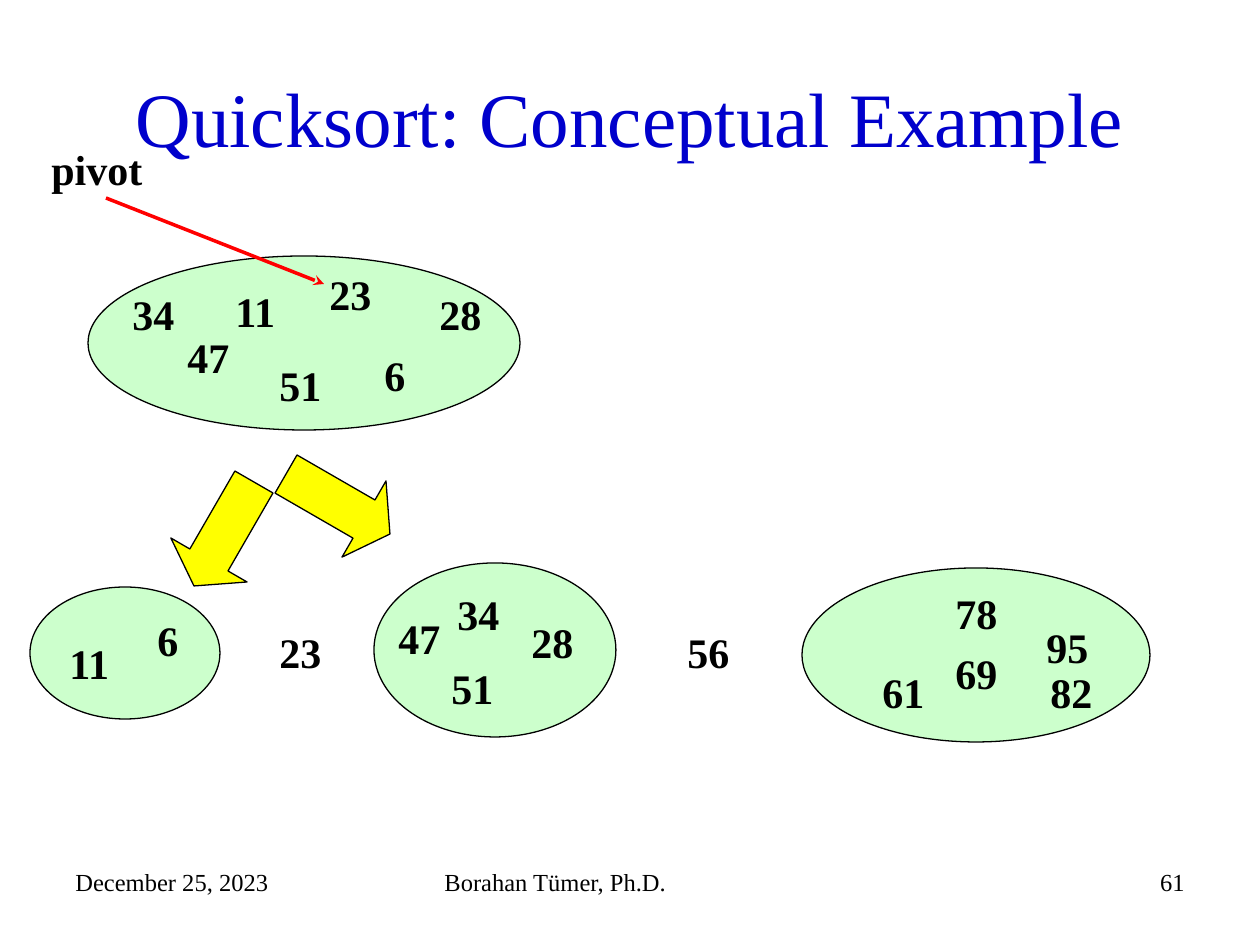
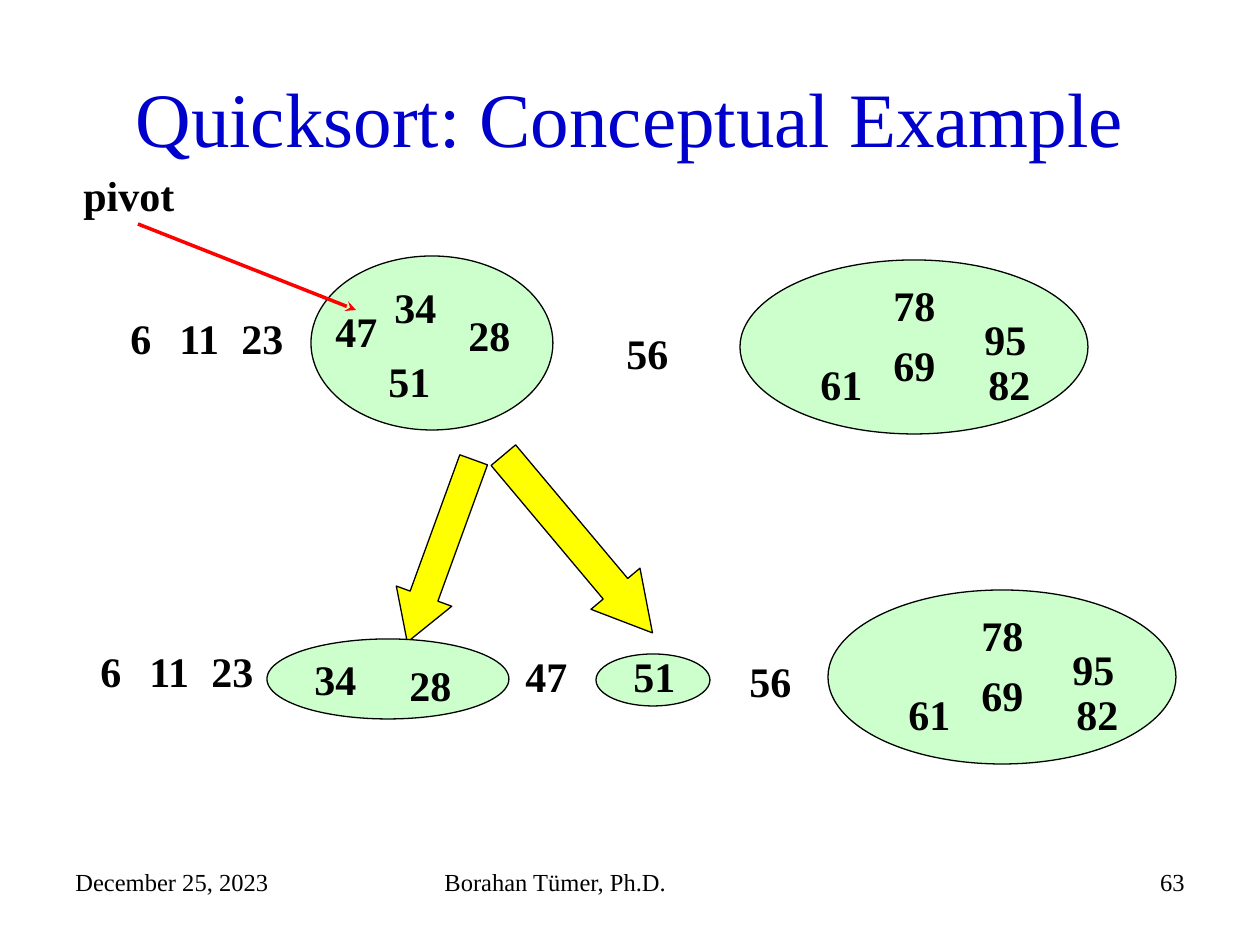
from dataclasses import dataclass
from typing import Optional

from lxml import etree
from pptx import Presentation
from pptx.dml.color import RGBColor
from pptx.enum.shapes import MSO_CONNECTOR, MSO_SHAPE
from pptx.enum.text import MSO_ANCHOR, MSO_AUTO_SIZE, PP_ALIGN
from pptx.oxml.ns import qn
from pptx.util import Emu, Pt

ELLIPSE, DOWN_ARROW = MSO_SHAPE.OVAL, MSO_SHAPE.DOWN_ARROW
STRAIGHT = MSO_CONNECTOR.STRAIGHT
LEFT, CENTER, RIGHT = PP_ALIGN.LEFT, PP_ALIGN.CENTER, PP_ALIGN.RIGHT
TOP, MIDDLE = MSO_ANCHOR.TOP, MSO_ANCHOR.MIDDLE
FIT_SHAPE, FIXED = MSO_AUTO_SIZE.SHAPE_TO_FIT_TEXT, MSO_AUTO_SIZE.NONE

PX_PER_INCH = 126
PAGE_WIDTH, PAGE_HEIGHT = 1260, 945
BLANK_LAYOUT = 6


@dataclass(frozen=True)
class Theme:
    font: str = "Times New Roman"
    ink: str = "000000"
    title: str = "0000CC"
    set_fill: str = "CCFFCC"
    arrow_fill: str = "FFFF00"
    pointer: str = "FF0000"
    title_size: int = 44
    label_size: int = 24
    footer_size: int = 14
    outline: float = 0.75
    pointer_width: float = 2


THEME = Theme()


@dataclass(frozen=True)
class Number:
    value: int
    x: int
    y: int


@dataclass(frozen=True)
class Cluster:
    """Numbers placed from one corner, ringed by an ellipse if sized."""
    numbers: tuple[Number, ...]
    size: Optional[tuple[int, int]] = None


@dataclass(frozen=True)
class Placed:
    cluster: Cluster
    x: int
    y: int


@dataclass(frozen=True)
class Arrow:
    x: int
    y: int
    width: int
    height: int
    rotation: int
    head: float


@dataclass(frozen=True)
class Step:
    page_number: int
    pivot: tuple[int, int]
    arrows: tuple[Arrow, ...]
    clusters: tuple[Placed, ...]
    loose: tuple[Number, ...]


# Sets of numbers that the sort works on
BELOW_56 = Cluster((Number(34, 32, 26), Number(47, 87, 69), Number(11, 135, 23),
                    Number(23, 229, 6), Number(51, 179, 97), Number(6, 284, 87),
                    Number(28, 339, 26)), (432, 174))
ABOVE_56 = Cluster((Number(82, 236, 92), Number(78, 141, 13), Number(95, 232, 47),
                    Number(69, 141, 73), Number(61, 68, 92)), (348, 174))
BELOW_23 = Cluster((Number(11, 27, 44), Number(6, 115, 21)), (190, 132))
ABOVE_23 = Cluster((Number(34, 71, 19), Number(47, 12, 43), Number(51, 65, 93),
                    Number(28, 145, 47)), (242, 174))
BELOW_47 = Cluster((Number(34, 35, 8), Number(28, 130, 14)), (242, 80))
ABOVE_47 = Cluster((Number(51, 25, -10),), (114, 52))
SORTED = Cluster((Number(6, 0, 0), Number(11, 49, 0), Number(23, 111, 0)))

STEPS = (
    Step(61, (39, 137),
         (Arrow(180, 474, 88, 120, 30, 0.34), Arrow(294, 444, 88, 120, 300, 0.34)),
         (Placed(BELOW_56, 88, 256), Placed(ABOVE_56, 802, 568),
          Placed(BELOW_23, 30, 587), Placed(ABOVE_23, 374, 563)),
         (Number(56, 675, 620), Number(23, 267, 620))),
    Step(63, (71, 163),
         (Arrow(411, 454, 59, 194, 20, 0.83), Arrow(546, 428, 64, 232, 320, 0.9)),
         (Placed(ABOVE_56, 740, 260), Placed(ABOVE_23, 311, 256),
          Placed(SORTED, 118, 306), Placed(ABOVE_56, 828, 590),
          Placed(SORTED, 88, 639), Placed(BELOW_47, 267, 639),
          Placed(ABOVE_47, 596, 654)),
         (Number(56, 614, 321), Number(56, 737, 649), Number(47, 513, 644))),
)


def px(length: int) -> Emu:
    return Emu(round(length * 914400 / PX_PER_INCH))


def add_text(page, text: str, x: int, y: int, width: int, height: int, *,
             size: int, color: str = THEME.ink, bold: bool = False,
             align=LEFT, anchor=TOP, wrap: bool = True) -> None:
    box = page.shapes.add_textbox(px(x), px(y), px(width), px(height))
    frame = box.text_frame
    frame_format = {"word_wrap": wrap, "vertical_anchor": anchor,
                    "auto_size": FIXED if wrap else FIT_SHAPE}
    for name, value in frame_format.items():
        setattr(frame, name, value)
    para = frame.paragraphs[0]
    para.alignment = align
    span = para.add_run()
    span.text = text
    for name, value in {"name": THEME.font, "size": Pt(size), "bold": bold}.items():
        setattr(span.font, name, value)
    span.font.color.rgb = RGBColor.from_string(color)


def add_label(page, text: str, x: int, y: int, width: int) -> None:
    add_text(page, text, x, y, width, 63, size=THEME.label_size, bold=True, wrap=False)


def add_number(page, number: Number, x: int = 0, y: int = 0) -> None:
    width = 47 if number.value < 10 else 67
    add_label(page, str(number.value), x + number.x, y + number.y, width)


def add_outlined(page, kind, x: int, y: int, width: int, height: int, fill: str):
    shape = page.shapes.add_shape(kind, px(x), px(y), px(width), px(height))
    shape.shadow.inherit = False
    shape.fill.solid()
    shape.fill.fore_color.rgb = RGBColor.from_string(fill)
    shape.line.color.rgb = RGBColor.from_string(THEME.ink)
    shape.line.width = Pt(THEME.outline)
    return shape


def add_cluster(page, placed: Placed) -> None:
    if placed.cluster.size:
        add_outlined(page, ELLIPSE, placed.x, placed.y, *placed.cluster.size, THEME.set_fill)
    for number in placed.cluster.numbers:
        add_number(page, number, placed.x, placed.y)


def add_arrow(page, arrow: Arrow) -> None:
    shape = add_outlined(page, DOWN_ARROW, arrow.x, arrow.y, arrow.width, arrow.height,
                         THEME.arrow_fill)
    shape.rotation = arrow.rotation
    shape.adjustments[0] = 0.5
    shape.adjustments[1] = arrow.head


def add_pivot(page, x: int, y: int) -> None:
    start_x, start_y = x + 67, y + 61
    pointer = page.shapes.add_connector(STRAIGHT, px(start_x), px(start_y),
                                        px(start_x + 218), px(start_y + 86))
    pointer.line.color.rgb = RGBColor.from_string(THEME.pointer)
    pointer.line.width = Pt(THEME.pointer_width)
    properties = pointer.element.spPr
    etree.SubElement(properties.find(qn("a:ln")), qn("a:tailEnd"), type="stealth")
    etree.SubElement(properties, qn("a:effectLst"))
    add_label(page, "pivot", x, y, 116)


def add_frame(page, page_number: int) -> None:
    """Title and footer, the same on every page."""
    add_text(page, "Quicksort: Conceptual Example", 63, 38, 1134, 157,
             size=THEME.title_size, color=THEME.title, align=CENTER, anchor=MIDDLE)
    footers = (("December 25, 2023", 63, 294, LEFT),
               ("Borahan Tümer, Ph.D.", 432, 399, LEFT),
               (str(page_number), 903, 294, RIGHT))
    for text, x, width, align in footers:
        add_text(page, text, x, 861, width, 66, size=THEME.footer_size, align=align)


def add_step(deck, step: Step) -> None:
    page = deck.slides.add_slide(deck.slide_layouts[BLANK_LAYOUT])
    add_frame(page, step.page_number)
    # Arrows lie behind the sets, the pivot pointer in front
    for arrow in step.arrows:
        add_arrow(page, arrow)
    for placed in step.clusters:
        add_cluster(page, placed)
    for number in step.loose:
        add_number(page, number)
    add_pivot(page, *step.pivot)


def main() -> None:
    deck = Presentation()
    deck.slide_width, deck.slide_height = px(PAGE_WIDTH), px(PAGE_HEIGHT)
    for step in STEPS:
        add_step(deck, step)
    deck.save("out.pptx")


if __name__ == "__main__":
    main()
